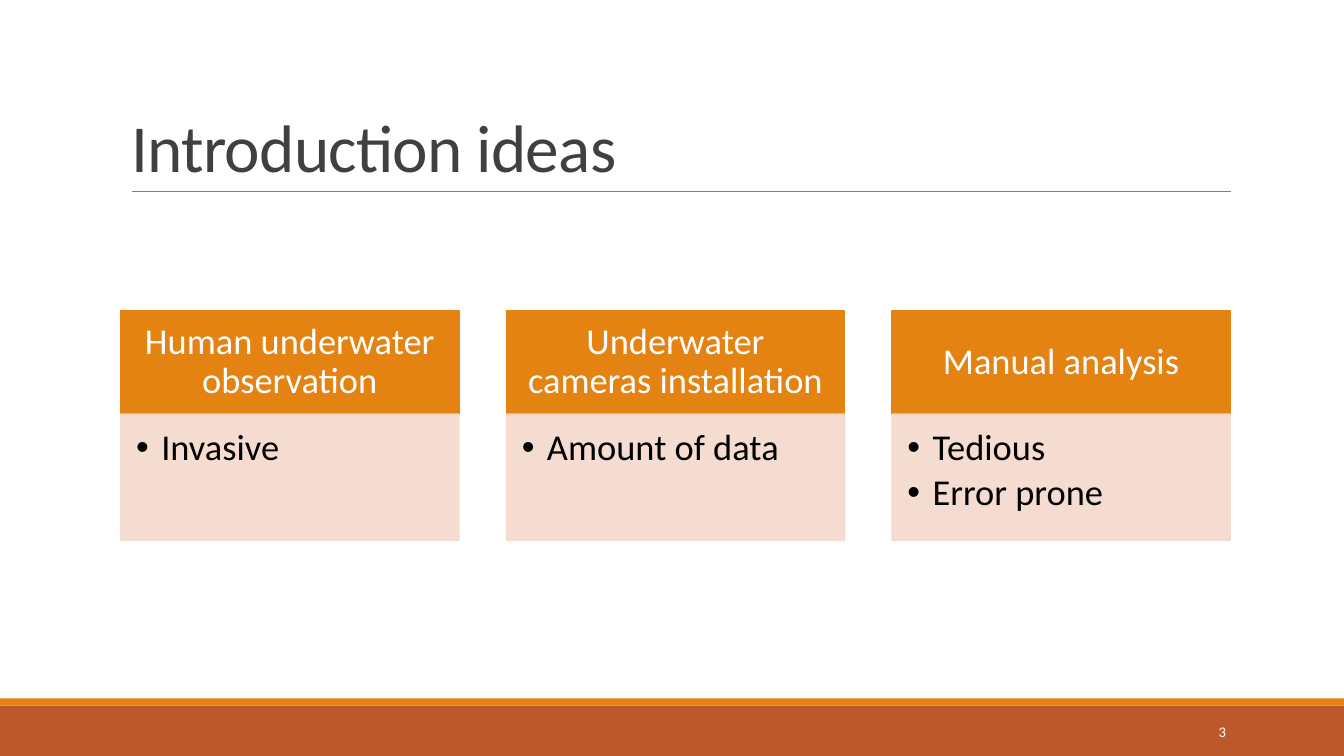
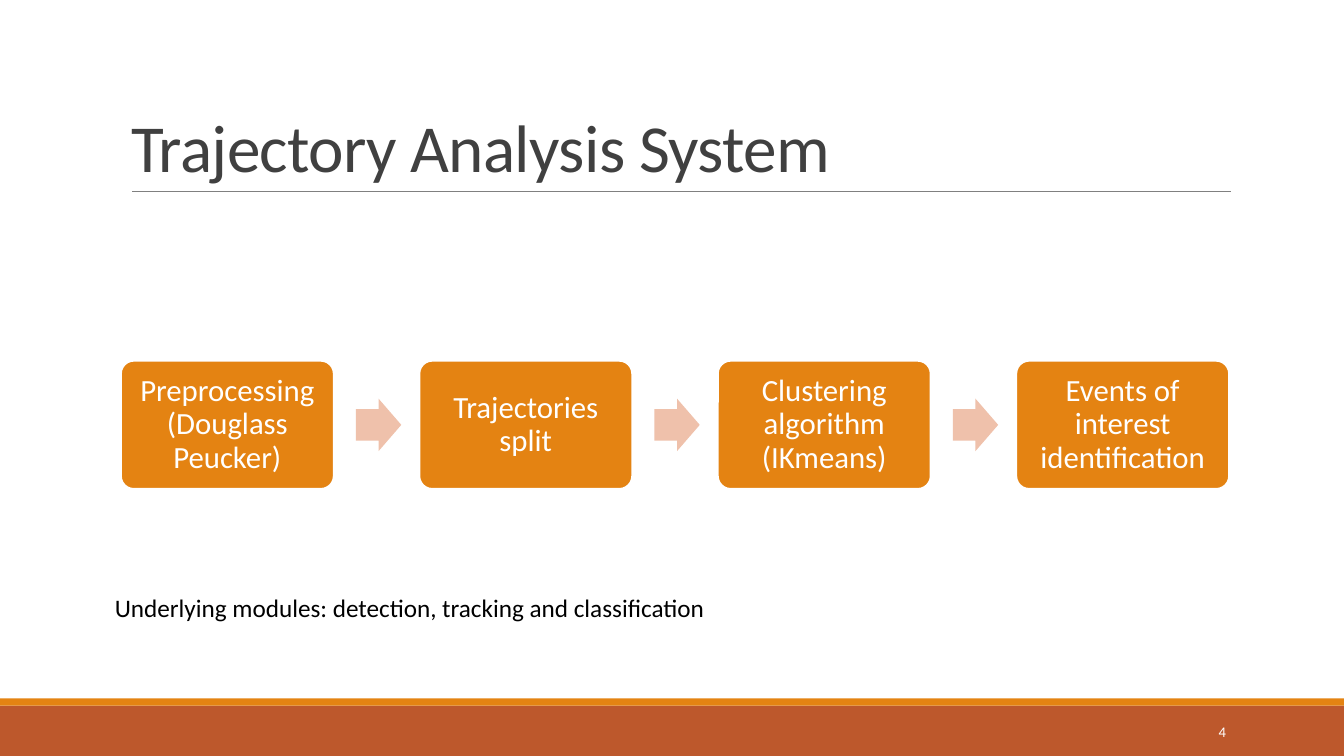
from lxml import etree
from pptx import Presentation
from pptx.dml.color import RGBColor
from pptx.enum import shapes, text
from pptx.oxml import ns
from pptx.util import Inches, Pt

FONT = "Calibri"
ORANGE = RGBColor(0xE4, 0x83, 0x12)
RUST = RGBColor(0xBD, 0x58, 0x2C)
PALE = RGBColor(0xF5, 0xD9, 0xCC)
PEACH = RGBColor(0xEF, 0xC1, 0xAB)
DARK = RGBColor(0x40, 0x40, 0x40)
GRAY = RGBColor(0x80, 0x80, 0x80)
BLACK = RGBColor(0, 0, 0)
WHITE = RGBColor(0xFF, 0xFF, 0xFF)

SHAPE = shapes.MSO_SHAPE
ALIGN = text.PP_ALIGN
ANCHOR = text.MSO_ANCHOR

CONTENT_LEFT, CONTENT_WIDTH = 1.2, 11
CARDS = [
    ("Human underwater observation", ["Invasive"]),
    ("Underwater cameras installation", ["Amount of data"]),
    ("Manual analysis", ["Tedious", "Error prone"]),
]
STEPS = [
    "Preprocessing (Douglass Peucker)",
    "Trajectories split",
    "Clustering algorithm (IKmeans)",
    "Events of interest identification",
]


def add_bullet(para, indent):
    props = para._p.get_or_add_pPr()
    props.set("marL", str(Inches(indent)))
    props.set("indent", str(-Inches(indent)))
    etree.SubElement(props, ns.qn("a:buFont"), typeface="Arial")
    etree.SubElement(props, ns.qn("a:buChar"), char="•")


def write(shape, lines, size, color, align=ALIGN.LEFT, anchor=ANCHOR.TOP,
          margins=(0.1, 0.05, 0.1, 0.05), line_spacing=1.0, space_after=0,
          bullet_indent=None, tracking=None):
    """Fill a shape with one paragraph per line; margins run left, top, right, bottom."""
    frame = shape.text_frame
    frame.word_wrap = True
    frame.auto_size = text.MSO_AUTO_SIZE.NONE
    frame.vertical_anchor = anchor
    (frame.margin_left, frame.margin_top,
     frame.margin_right, frame.margin_bottom) = map(Inches, margins)
    for index, line in enumerate(lines):
        para = frame.add_paragraph() if index else frame.paragraphs[0]
        para.alignment = align
        para.line_spacing = line_spacing
        para.space_before = Pt(0)
        para.space_after = Pt(space_after)
        if bullet_indent:
            add_bullet(para, bullet_indent)
        span = para.add_run()
        span.text = line
        span.font.name = FONT
        span.font.size = Pt(size)
        span.font.color.rgb = color
        if tracking:
            span.font._element.set("spc", str(round(tracking * 100)))


def add_box(page, kind, left, top, width, height, fill, line=None, opacity=None):
    box = page.shapes.add_shape(
        kind, Inches(left), Inches(top), Inches(width), Inches(height))
    box.shadow.inherit = False
    box.fill.solid()
    box.fill.fore_color.rgb = fill
    if line is None:
        box.line.fill.background()
    else:
        box.line.color.rgb = line
        box.line.width = Pt(1.25)
    if opacity is not None:
        for color in box._element.spPr.iter(ns.qn("a:srgbClr")):
            etree.SubElement(color, ns.qn("a:alpha"), val=str(opacity * 1000))
    return box


def add_label(page, left, top, width, height, label, **style):
    box = page.shapes.add_textbox(
        Inches(left), Inches(top), Inches(width), Inches(height))
    write(box, [label], **style)


def add_rule(page, left, right, y):
    rule = page.shapes.add_connector(
        shapes.MSO_CONNECTOR.STRAIGHT, Inches(left), Inches(y), Inches(right), Inches(y))
    rule.line.color.rgb = GRAY
    rule.line.width = Pt(0.5)
    etree.SubElement(rule._element.spPr, ns.qn("a:effectLst"))


def add_page(deck, title, number):
    """Add a slide with the shared bands, title, title rule and page number."""
    page = deck.slides.add_slide(deck.slide_layouts.get_by_name("Title Only"))
    add_box(page, SHAPE.RECTANGLE, 0, 7, 13.33, 0.5, RUST)
    add_box(page, SHAPE.RECTANGLE, 0, 6.93, 13.33, 0.07, ORANGE)
    add_rule(page, 1.31, 12.21, 1.9)
    heading = page.shapes.title
    heading.left, heading.top = Inches(CONTENT_LEFT), Inches(0.31)
    heading.width, heading.height = Inches(CONTENT_WIDTH), Inches(1.59)
    write(heading, [title], 48, DARK, anchor=ANCHOR.BOTTOM,
          line_spacing=0.85, tracking=-0.5)
    add_label(page, 10.83, 7.06, 1.43, 0.4, str(number), size=10.5, color=WHITE,
              align=ALIGN.RIGHT, anchor=ANCHOR.MIDDLE)
    return page


def add_card(page, left, width, heading, points):
    top, head_height, body_height = 3.08, 1.03, 1.25
    head = add_box(page, SHAPE.RECTANGLE, left, top, width, head_height,
                   ORANGE, line=ORANGE)
    write(head, [heading], 26, WHITE, align=ALIGN.CENTER, anchor=ANCHOR.MIDDLE,
          margins=(0.2, 0.12, 0.2, 0.12), line_spacing=0.9)
    body = add_box(page, SHAPE.RECTANGLE, left, top + head_height, width, body_height,
                   PALE, line=PALE, opacity=90)
    write(body, points, 26, BLACK, margins=(0.15, 0.15, 0.2, 0.23),
          line_spacing=0.9, space_after=4, bullet_indent=0.25)


def add_step(page, left, top, width, height, label):
    step = add_box(page, SHAPE.ROUNDED_RECTANGLE, left, top, width, height,
                   ORANGE, line=WHITE)
    step.adjustments[0] = 0.1
    write(step, [label], 22, WHITE, align=ALIGN.CENTER, anchor=ANCHOR.MIDDLE,
          margins=(0.09,) * 4, line_spacing=0.9)


def add_arrow(page, left, middle):
    width, height = 0.45, 0.52
    arrow = add_box(page, SHAPE.RIGHT_ARROW, left, middle - height / 2,
                    width, height, PEACH)
    arrow.adjustments[0] = 0.6
    arrow.adjustments[1] = 0.5


def add_cards(page):
    width = 3.35
    pitch = (CONTENT_WIDTH - width) / (len(CARDS) - 1)
    for index, (heading, points) in enumerate(CARDS):
        add_card(page, CONTENT_LEFT + index * pitch, width, heading, points)


def add_process(page):
    top, width, height, pitch, arrow_gap = 3.58, 2.11, 1.27, 2.96, 0.22
    for index, label in enumerate(STEPS):
        left = CONTENT_LEFT + index * pitch
        add_step(page, left, top, width, height, label)
        if index < len(STEPS) - 1:
            add_arrow(page, left + width + arrow_gap, top + height / 2)


def main():
    deck = Presentation()
    deck.slide_width, deck.slide_height = Inches(13.33), Inches(7.5)

    add_cards(add_page(deck, "Introduction ideas", 3))

    system = add_page(deck, "Trajectory Analysis System", 4)
    add_process(system)
    add_label(system, 1.04, 5.83, 6.11, 0.4,
              "Underlying modules: detection, tracking and classification",
              size=18, color=BLACK)

    deck.save("out.pptx")


if __name__ == "__main__":
    main()
